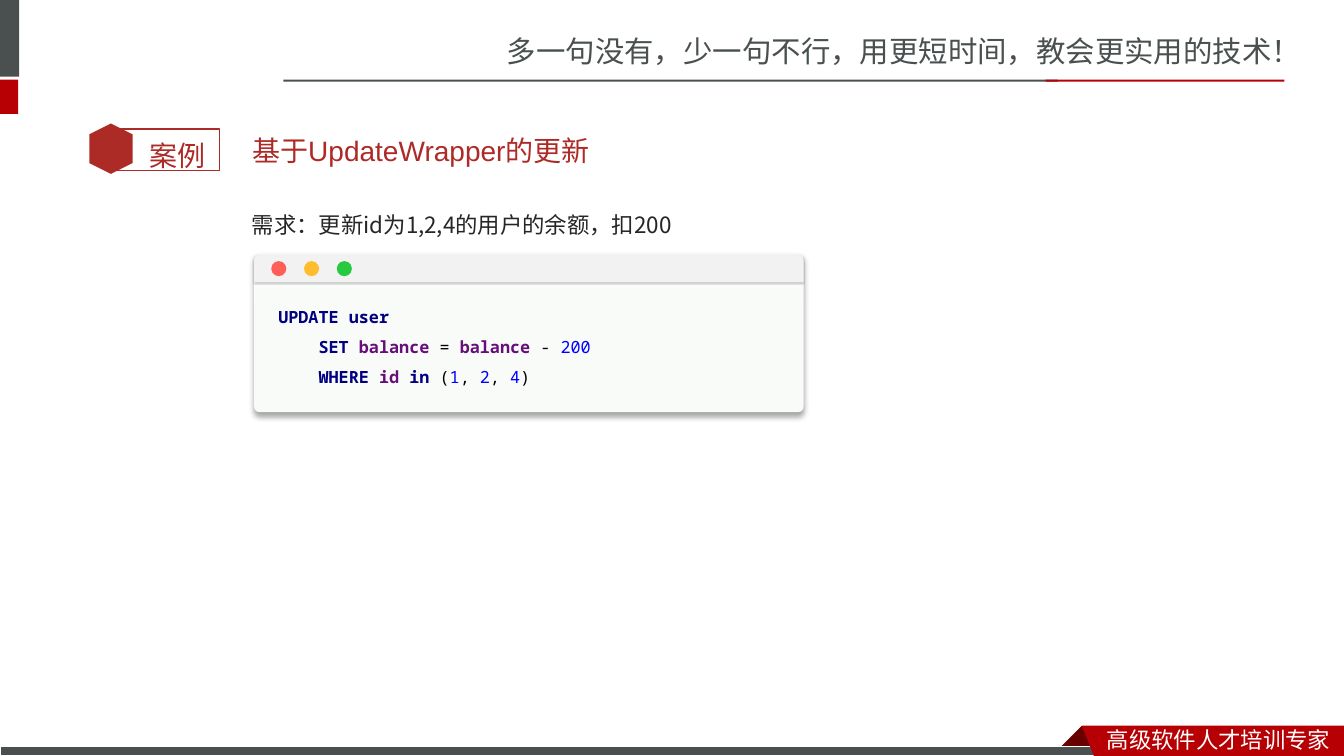
import pptx
import pptx.util
import pptx.dml.color
import pptx.enum.shapes
import pptx.enum.text
import pptx.oxml
import pptx.oxml.ns
from lxml import etree

Inches = pptx.util.Inches
Pt = pptx.util.Pt
RGBColor = pptx.dml.color.RGBColor
SHAPE = pptx.enum.shapes.MSO_SHAPE
ANCHOR = pptx.enum.text.MSO_ANCHOR
qn = pptx.oxml.ns.qn

WHITE = RGBColor(0xFF, 0xFF, 0xFF)
BLACK = RGBColor(0x00, 0x00, 0x00)
SLATE = RGBColor(0x49, 0x50, 0x4F)
RED = RGBColor(0xB6, 0x00, 0x04)
DARK_RED = RGBColor(0x68, 0x00, 0x00)
BRICK = RGBColor(0xAD, 0x2B, 0x26)
TITLE_RED = RGBColor(0xAD, 0x2A, 0x26)
INK = RGBColor(0x26, 0x26, 0x26)
WINDOW = RGBColor(0xF9, 0xFB, 0xF9)
WINDOW_BAR = RGBColor(0xF2, 0xF2, 0xF2)
BUTTONS = (RGBColor(0xFF, 0x5F, 0x56), RGBColor(0xFF, 0xBD, 0x2E), RGBColor(0x27, 0xC9, 0x3F))
KEYWORD = RGBColor(0x00, 0x00, 0x80)
COLUMN = RGBColor(0x66, 0x0E, 0x7A)
NUMBER = RGBColor(0x00, 0x00, 0xFF)

CHINESE = "Noto Sans CJK SC"
SQL_LINES = (
    (("UPDATE user ", KEYWORD),),
    (("    SET ", KEYWORD), ("balance ", COLUMN), ("= ", BLACK),
     ("balance ", COLUMN), ("- ", BLACK), ("200 ", NUMBER)),
    (("    WHERE ", KEYWORD), ("id ", COLUMN), ("in ", KEYWORD), ("(", BLACK),
     ("1", NUMBER), (", ", BLACK), ("2", NUMBER), (", ", BLACK),
     ("4", NUMBER), (")", BLACK)),
)


def paint(shape, fill, line=None, line_width=1):
    shape.shadow.inherit = False
    if fill is None:
        shape.fill.background()
    else:
        shape.fill.solid()
        shape.fill.fore_color.rgb = fill
    if line is None:
        shape.line.fill.background()
    else:
        shape.line.color.rgb = line
        shape.line.width = Pt(line_width)
    return shape


def add_block(slide, kind, left, top, width, height, fill, line=None, line_width=1):
    shape = slide.shapes.add_shape(
        kind, Inches(left), Inches(top), Inches(width), Inches(height))
    return paint(shape, fill, line, line_width)


def add_outline(slide, points, fill):
    corners = [(Inches(x), Inches(y)) for x, y in points]
    builder = slide.shapes.build_freeform(*corners[0], scale=1.0)
    builder.add_line_segments(corners[1:], close=True)
    return paint(builder.convert_to_shape(), fill)


def cast_shadow(shape, opacity, blur, distance):
    effects = shape._element.spPr.find(qn("a:effectLst"))
    shadow = etree.SubElement(effects, qn("a:outerShdw"), blurRad=str(Pt(blur)),
                              dist=str(Pt(distance)), dir="5400000",
                              algn="t", rotWithShape="0")
    color = etree.SubElement(shadow, qn("a:srgbClr"), val=str(BLACK))
    etree.SubElement(color, qn("a:alpha"), val=str(opacity * 1000))


def style_run(run, size, color, font, east_asian=CHINESE, bold=False):
    run.font.size = Pt(size)
    run.font.color.rgb = color
    run.font.name = font
    run.font.bold = bold
    etree.SubElement(run._r.get_or_add_rPr(), qn("a:ea"), typeface=east_asian)


def add_text(slide, left, top, width, height, text, size, color, font=CHINESE,
             east_asian=CHINESE, spacing=1.0, before=0):
    box = slide.shapes.add_textbox(
        Inches(left), Inches(top), Inches(width), Inches(height))
    box.text_frame.word_wrap = True
    paragraph = box.text_frame.paragraphs[0]
    paragraph.text = text
    paragraph.line_spacing = spacing
    paragraph.space_before = Pt(before)
    for run in paragraph.runs:
        style_run(run, size, color, font, east_asian)
    return box


def add_header(slide, left, top, width):
    right = left + width
    add_text(slide, right - 8.4, top + 0.28, 8.4, 0.47,
             "多一句没有，少一句不行，用更短时间，教会更实用的技术！", 21, SLATE)
    add_block(slide, SHAPE.RECTANGLE, left, top, 0.19, 0.76, SLATE)
    add_block(slide, SHAPE.RECTANGLE, left, top + 0.79, 0.18, 0.34, RED)
    add_block(slide, SHAPE.RECTANGLE, left + 2.81, top + 0.79, 7.68, 0.02, SLATE)
    add_block(slide, SHAPE.RECTANGLE, left + 10.37, top + 0.79, 2.37, 0.02, RED)


def add_footer(slide, left, top, width, height):
    right, bottom = left + width, top + height
    fold = right - 2.6
    add_outline(slide, [(fold, top), (fold + 0.22, top + 0.22),
                        (fold - 0.22, top + 0.22)], DARK_RED)
    add_block(slide, SHAPE.RECTANGLE, left, top + 0.21, 10.99, height - 0.21,
              SLATE, WHITE, 0.75)
    add_outline(slide, [(fold, top), (right, top), (right, bottom),
                        (fold + 0.12, bottom)], RED)
    add_text(slide, fold + 0.15, top - 0.05, 2.45, 0.37, "高级软件人才培训专家", 16, WHITE)


def add_case_tag(slide, left, top):
    add_block(slide, SHAPE.RECTANGLE, left + 0.21, top + 0.05, 1.09, 0.41, None, BRICK)
    hexagon = add_block(slide, SHAPE.HEXAGON, left - 0.03, top + 0.03, 0.5, 0.43, BRICK)
    hexagon.rotation = 90
    add_text(slide, left + 0.5, top - 0.07, 0.85, 0.56, "案例", 20, BRICK, "Roboto", spacing=1.5)


def place_title(slide, left, top, width, height):
    title = slide.shapes.title
    title.left, title.top = Inches(left), Inches(top)
    title.width, title.height = Inches(width), Inches(height)
    frame = title.text_frame
    frame.text = "基于UpdateWrapper的更新"
    frame.word_wrap = True
    frame.auto_size = pptx.enum.text.MSO_AUTO_SIZE.NONE
    frame.vertical_anchor = ANCHOR.MIDDLE
    paragraph = frame.paragraphs[0]
    paragraph.alignment = pptx.enum.text.PP_ALIGN.LEFT
    paragraph.space_before = Pt(4)
    style_run(paragraph.runs[0], 20, TITLE_RED, "Arial")


def add_code_window(slide, left, top, width, height):
    window = add_block(slide, SHAPE.ROUNDED_RECTANGLE, left, top, width, height, WINDOW)
    window.adjustments[0] = 0.036
    cast_shadow(window, 34, 4, 3)

    code = slide.shapes.add_textbox(
        Inches(left), Inches(top + 0.38), Inches(4.44), Inches(0.98))
    frame = code.text_frame
    frame.word_wrap = True
    frame.margin_left = frame.margin_right = Inches(0.24)
    paragraph = frame.paragraphs[0]
    paragraph.line_spacing = 1.5
    for index, line in enumerate(SQL_LINES):
        if index:
            paragraph.add_line_break()
        for text, color in line:
            run = paragraph.add_run()
            run.text = text
            style_run(run, 12, color, "Noto Sans Mono", bold=color in (KEYWORD, COLUMN))

    bar = add_block(slide, SHAPE.ROUND_2_SAME_RECTANGLE, left, top + 0.02, width, 0.27, WINDOW_BAR)
    bar.adjustments[0] = 0.2
    cast_shadow(bar, 20, 1, 1)
    for index, color in enumerate(BUTTONS):
        add_block(slide, SHAPE.OVAL, left + 0.17 + index * 0.325, top + 0.08, 0.15, 0.15, color)


def main():
    presentation = pptx.Presentation()
    presentation.slide_width = Inches(13.33)
    presentation.slide_height = Inches(7.5)
    slide = presentation.slides.add_slide(presentation.slide_layouts[5])
    add_header(slide, 0, 0, 13.33)
    add_footer(slide, 0, 7.2, 13.33, 0.3)
    add_case_tag(slide, 0.88, 1.23)
    place_title(slide, 2.4, 1.21, 10.08, 0.57)
    add_text(slide, 2.4, 1.91, 10.08, 0.5, "需求：更新id为1,2,4的用户的余额，扣200", 16, INK,
             "Noto Sans CJK JP", "Noto Sans CJK JP", 1.5, 3.2)
    add_code_window(slide, 2.52, 2.51, 5.45, 1.58)
    presentation.save("out.pptx")


if __name__ == "__main__":
    main()
